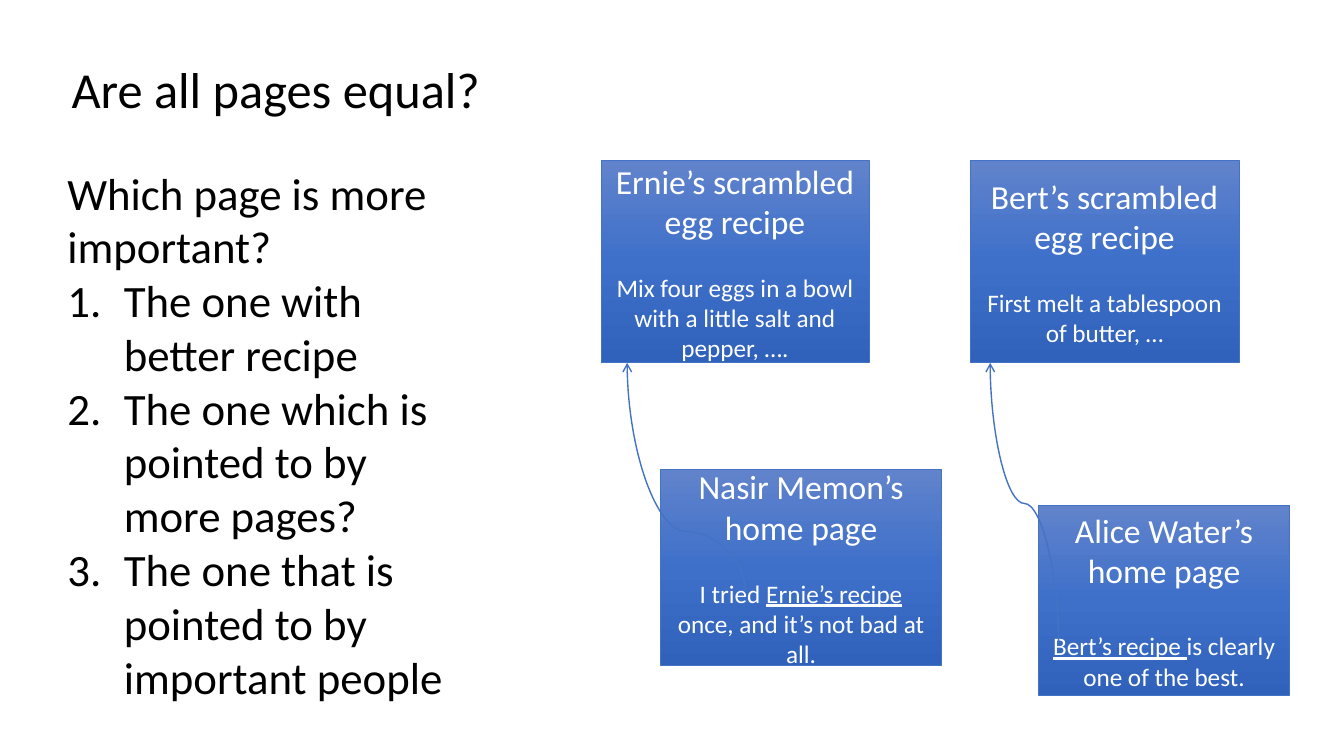
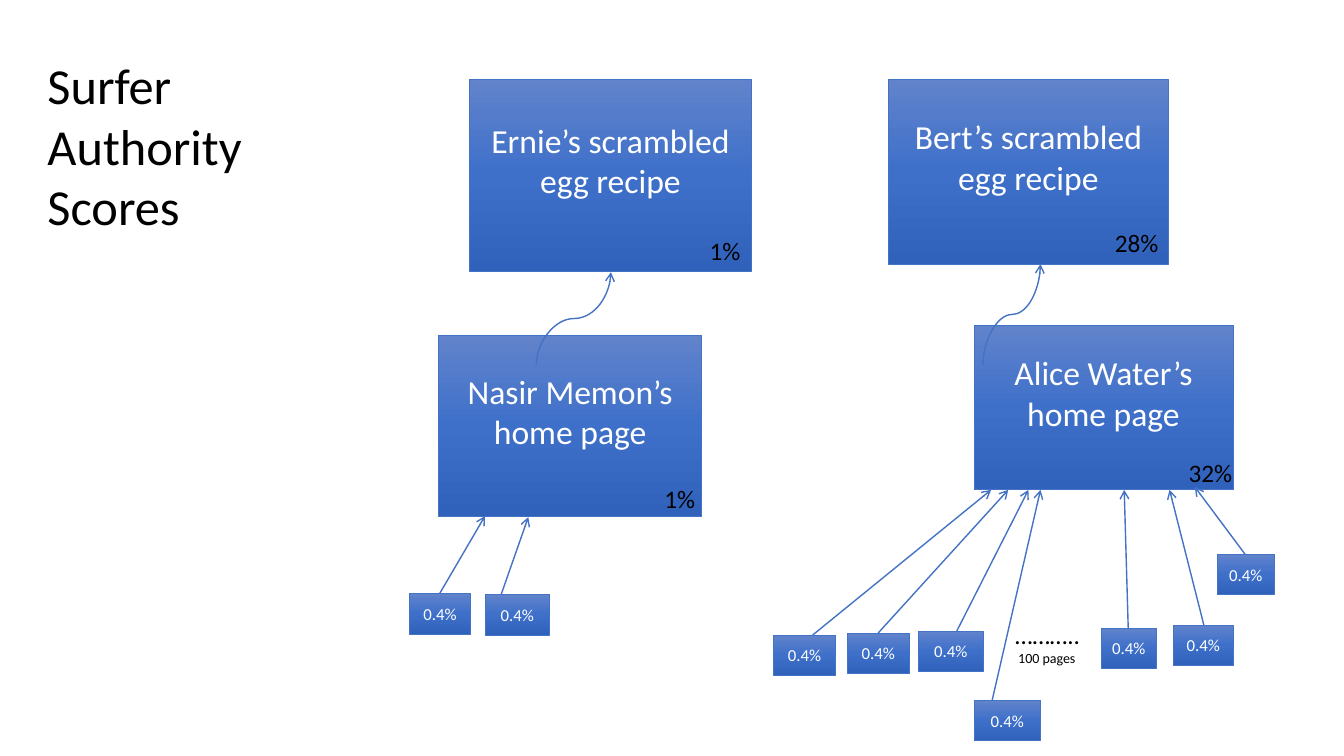
from copy import deepcopy

from lxml import etree
from pptx import Presentation
from pptx import util as u
from pptx.dml.color import RGBColor
from pptx.enum import shapes, text
from pptx.oxml.ns import qn

FONT = "Calibri"
BLACK, WHITE, BLUE = "000000", "FFFFFF", "4472C4"
GRADIENT = ((0, "6183CB"), (0.5, "3E70CA"), (1, "3062BB"))
ERNIE, BERT = "Ernie’s scrambled egg recipe", "Bert’s scrambled egg recipe"
NASIR, ALICE = "Nasir Memon’s home page", "Alice Water’s home page"


def rgb(value):
    """Turn a hex string into a colour."""
    return RGBColor.from_string(value)


class Deck:
    """Hold the style, the presentation and the current slide."""

    def __init__(self):
        """Start an empty widescreen presentation."""
        self.presentation = Presentation()
        self.presentation.slide_width = u.Inches(13.33)
        self.presentation.slide_height = u.Inches(7.5)
        self.slide = None

    def format(self, paragraph, size, color, align=text.PP_ALIGN.LEFT):
        """Give every run of a paragraph the deck's font."""
        paragraph.alignment = align
        for run in paragraph.runs:
            run.font.name = FONT
            run.font.size = u.Pt(size)
            run.font.color.rgb = rgb(color)

    def add_slide(self, title, left, top, width, height, wrap=True):
        """Add a slide and place its title."""
        layout = self.presentation.slide_layouts[5]
        self.slide = self.presentation.slides.add_slide(layout)
        shape = self.slide.shapes.title
        shape.left, shape.top = u.Inches(left), u.Inches(top)
        shape.width, shape.height = u.Inches(width), u.Inches(height)
        frame = shape.text_frame
        frame.text = title
        frame.word_wrap = wrap
        frame.auto_size = text.MSO_AUTO_SIZE.SHAPE_TO_FIT_TEXT
        frame.vertical_anchor = text.MSO_ANCHOR.TOP
        self.format(frame.paragraphs[0], 36, BLACK)

    def add_box(self, left, top, width, height, label, size=24):
        """Add a gradient box with centred text and return its text frame."""
        shape = self.slide.shapes.add_shape(
            shapes.MSO_SHAPE.RECTANGLE, u.Inches(left), u.Inches(top),
            u.Inches(width), u.Inches(height))
        shape.shadow.inherit = False
        shape.fill.gradient()
        shape.fill.gradient_angle = 270
        stop_list = shape._element.spPr.find(".//" + qn("a:gsLst"))
        stop_list.append(deepcopy(stop_list[-1]))
        for stop, (position, color) in zip(shape.fill.gradient_stops, GRADIENT):
            stop.position = position
            stop.color.rgb = rgb(color)
        shape.line.color.rgb = rgb(BLUE)
        shape.line.width = u.Pt(0.5)
        frame = shape.text_frame
        frame.text = label
        frame.word_wrap = True
        frame.vertical_anchor = text.MSO_ANCHOR.MIDDLE
        self.format(frame.paragraphs[0], size, WHITE, text.PP_ALIGN.CENTER)
        return frame

    def add_page(self, left, top, width, height, label, detail, gap=22):
        """Add a page box with (text, underlined) runs below its heading."""
        frame = self.add_box(left, top, width, height, label)
        paragraph = frame.add_paragraph()
        paragraph.space_before = u.Pt(gap)
        for words, underlined in detail:
            run = paragraph.add_run()
            run.text = words
            run.font.underline = underlined
        self.format(paragraph, 18, WHITE, text.PP_ALIGN.CENTER)

    def add_text(self, left, top, width, height, lines, size=18, wrap=False):
        """Add a plain text box and return its paragraphs."""
        shape = self.slide.shapes.add_textbox(
            u.Inches(left), u.Inches(top), u.Inches(width), u.Inches(height))
        frame = shape.text_frame
        frame.text = lines
        frame.word_wrap = wrap
        frame.auto_size = text.MSO_AUTO_SIZE.SHAPE_TO_FIT_TEXT
        for paragraph in frame.paragraphs:
            self.format(paragraph, size, BLACK)
        return frame.paragraphs

    def number(self, paragraph, indent=0.56):
        """Turn a paragraph into a numbered list item."""
        properties = paragraph._p.get_or_add_pPr()
        properties.set("marL", str(u.Inches(indent)))
        properties.set("indent", str(-u.Inches(indent)))
        etree.SubElement(properties, qn("a:buAutoNum"), type="arabicPeriod")

    def add_arrow(self, start, end, kind=shapes.MSO_CONNECTOR.STRAIGHT):
        """Add an arrow between two points and return its shape properties."""
        points = [u.Inches(value) for value in (*start, *end)]
        connector = self.slide.shapes.add_connector(kind, *points)
        connector.line.color.rgb = rgb(BLUE)
        connector.line.width = u.Pt(1)
        properties = connector._element.spPr
        etree.SubElement(properties.find(qn("a:ln")), qn("a:tailEnd"), type="arrow")
        etree.SubElement(properties, qn("a:effectLst"))
        return properties

    def add_curve(self, start, end, bend=0.5):
        """Add an upward S-curve, laid out sideways and turned by 270 degrees."""
        (x1, y1), (x2, y2) = start, end
        middle_x, middle_y = (x1 + x2) / 2, (y1 + y2) / 2
        half_rise, half_run = (y1 - y2) / 2, (x2 - x1) / 2
        properties = self.add_arrow(
            (middle_x - half_rise, middle_y - half_run),
            (middle_x + half_rise, middle_y + half_run),
            shapes.MSO_CONNECTOR.CURVE)
        properties.find(qn("a:xfrm")).set("rot", str(270 * 60000))
        adjustments = properties.find(".//" + qn("a:avLst"))
        etree.SubElement(adjustments, qn("a:gd"), name="adj1",
                         fmla=f"val {round(bend * 100000)}")


def build_pages(deck):
    """Build the slide that compares the pages."""
    deck.add_slide("Are all pages equal?", 0.61, 0.53, 4.29, 0.71, wrap=False)
    deck.add_page(5.96, 1.59, 2.66, 2.01, ERNIE, [
        ("Mix four eggs in a bowl with a little salt and pepper, ….", False)])
    deck.add_page(9.62, 1.59, 2.67, 2.01, BERT, [
        ("First melt a tablespoon of butter, …", False)])
    deck.add_page(6.55, 4.66, 2.79, 1.94, NASIR, [
        ("I tried ", False), ("Ernie’s recipe ", True),
        ("once, and it’s not bad at all.", False)])
    deck.add_page(10.3, 5.01, 2.49, 1.89, ALICE, [
        ("Bert’s recipe ", True), ("is clearly one of the best.", False)], gap=29)
    deck.add_curve((7.39, 5.86), (6.22, 3.6), bend=0.26)
    deck.add_curve((10.5, 6.39), (9.82, 3.6))
    question, *answers = deck.add_text(
        0.57, 1.59, 4.17, 5.49,
        "Which page is more important?\n"
        "The one with better recipe\n"
        "The one which is pointed to by more pages?\n"
        "The one that is pointed to by important people", 32, wrap=True)
    for answer in answers:
        deck.number(answer)


def build_scores(deck):
    """Build the slide with the authority scores."""
    deck.add_slide("Surfer Authority Scores", 0.37, 0.49, 3.27, 1.92)
    for *place, label in (
            (4.66, 0.79, 2.79, 1.9, ERNIE), (8.81, 0.79, 2.78, 1.83, BERT),
            (4.35, 3.33, 2.61, 1.79, NASIR), (9.66, 3.23, 2.57, 1.63, ALICE)):
        deck.add_box(*place, label).margin_bottom = u.Inches(0.35)
    deck.add_curve((5.32, 3.62), (6.06, 2.7))
    deck.add_curve((9.75, 3.62), (10.32, 2.62))
    for left, top, width, start_x, end in (
            (4.06, 5.89, 0.61, 4.36, (4.81, 5.12)),
            (4.81, 5.9, 0.64, 4.97, (5.24, 5.13)),
            (7.67, 6.3, 0.62, 8.06, (9.83, 4.86)),
            (8.4, 6.28, 0.62, 8.71, (10, 4.86)),
            (9.11, 6.26, 0.64, 9.49, (10.2, 4.86)),
            (9.66, 6.95, 0.66, 9.84, (10.32, 4.86)),
            (10.92, 6.23, 0.55, 11.19, (11.15, 4.86)),
            (11.64, 6.2, 0.59, 11.94, (11.6, 4.86)),
            (12.07, 5.5, 0.57, 12.35, (11.85, 4.83))):
        deck.add_box(left, top, width, 0.4, "0.4%", 12)
        deck.add_arrow((start_x, top), end)
    for left, top, width, score in (
            (6.94, 2.29, 0.51, "1%"), (10.96, 2.21, 0.64, "28%"),
            (6.49, 4.75, 0.51, "1%"), (11.69, 4.49, 0.64, "32%")):
        deck.add_text(left, top, width, 0.4, score)
    deck.add_text(9.97, 6.09, 0.95, 0.4, "………..", wrap=True)
    deck.add_text(10, 6.39, 0.78, 0.27, "100 pages", 10)


def main():
    """Build and save the presentation."""
    deck = Deck()
    build_pages(deck)
    build_scores(deck)
    deck.presentation.save("out.pptx")


if __name__ == "__main__":
    main()
